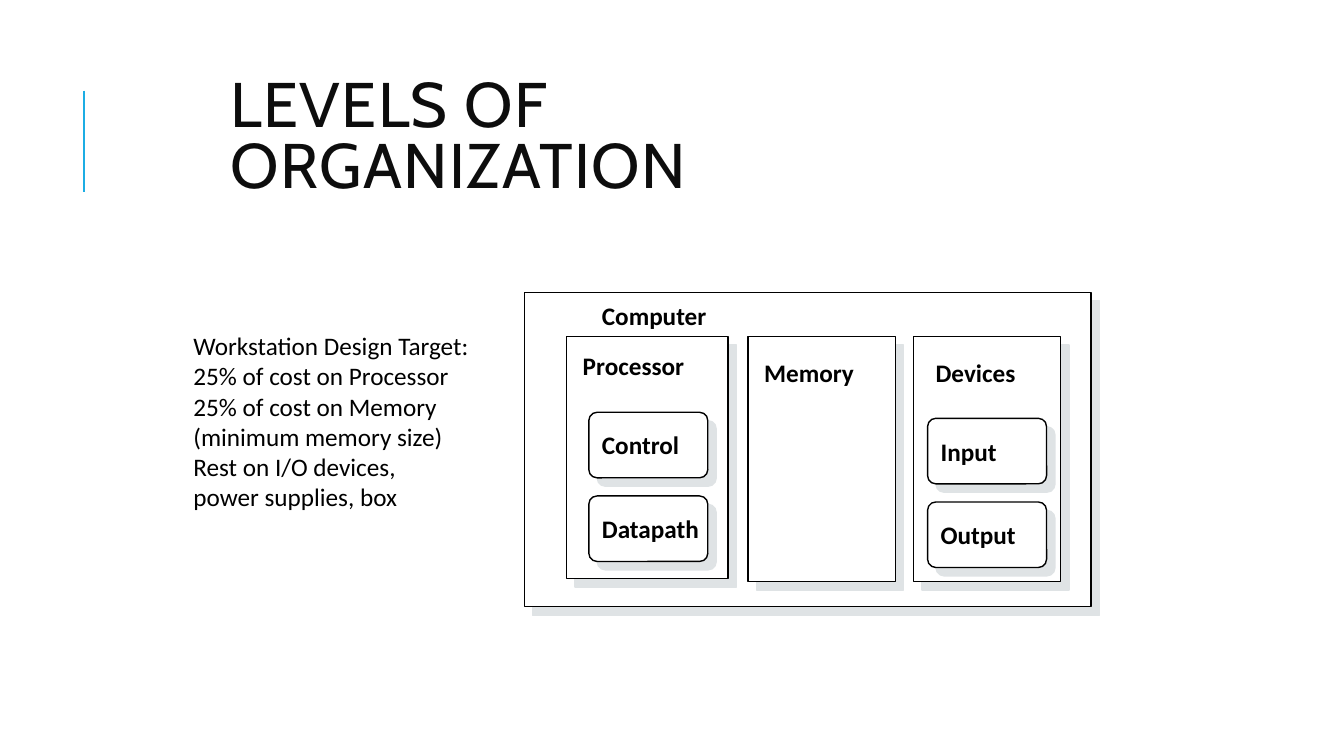
from lxml.etree import SubElement
from pptx import Presentation
from pptx.dml.color import RGBColor
from pptx.enum.shapes import MSO_CONNECTOR, MSO_SHAPE
from pptx.enum.text import MSO_ANCHOR
from pptx.oxml.ns import qn
from pptx.util import Pt

PX = 9144  # 100 px to the inch
COLORS = {"paper": "FFFFFF", "ink": "000000", "title": "0D0D0D",
          "accent": "1CADE4", "shadow": "DFE3E5"}


def color(name):
    return RGBColor.from_string(COLORS[name])


class Diagram:
    """Holds the style and the current slide."""
    title_font, body_font = "Cabin", "Calibri"
    body_size = 18

    def __init__(self, page):
        self.page = page

    def rule(self, x, top, bottom):
        line = self.page.shapes.add_connector(
            MSO_CONNECTOR.STRAIGHT, x * PX, top * PX, x * PX, bottom * PX)
        line.line.color.rgb = color("accent")
        line.line.width = Pt(1.5)
        SubElement(line._element.spPr, qn("a:effectLst"))

    def text(self, x, y, width, height, lines, inset=(10, 5), spacing=None, bold=False):
        box = self.page.shapes.add_textbox(x * PX, y * PX, width * PX, height * PX)
        frame = box.text_frame
        frame.word_wrap = True
        frame.margin_left = frame.margin_right = inset[0] * PX
        frame.margin_top = frame.margin_bottom = inset[1] * PX
        for i, line in enumerate(lines):
            para = frame.add_paragraph() if i else frame.paragraphs[0]
            para.text = line
            para.line_spacing = spacing
            para.font.name, para.font.size = self.body_font, Pt(self.body_size)
            para.font.bold = bold
            para.font.color.rgb = color("ink")
        return frame

    def title(self, x, y, width, height, words):
        frame = self.text(x, y, width, height, [words], spacing=0.8)
        frame.vertical_anchor = MSO_ANCHOR.MIDDLE
        para = frame.paragraphs[0]
        para.font.name, para.font.size = self.title_font, Pt(45)
        para.font.color.rgb = color("title")
        para.runs[0].font._element.set("spc", "100")

    def label(self, x, y, words, width=143):
        self.text(x, y, width, 31, [words], inset=(7, 3), spacing=0.85, bold=True)

    def block(self, x, y, width, height, rounded=False):
        kind = MSO_SHAPE.ROUNDED_RECTANGLE if rounded else MSO_SHAPE.RECTANGLE
        box = self.page.shapes.add_shape(kind, x * PX, y * PX, width * PX, height * PX)
        if rounded:
            box.adjustments[0] = 0.125
        box.fill.solid()
        box.fill.fore_color.rgb = color("paper")
        box.line.color.rgb = color("ink")
        box.line.width = Pt(1)
        # Hard shadow to the lower right
        box.shadow.inherit = False
        effects = box._element.spPr.find(qn("a:effectLst"))
        shadow = SubElement(effects, qn("a:outerShdw"), blurRad="0",
                            dist=str(Pt(8.5)), dir="2700000", algn="ctr", rotWithShape="0")
        SubElement(shadow, qn("a:srgbClr"), val=COLORS["shadow"])

    def units(self, x, y, names):
        for i, name in enumerate(names):
            top = y + i * 83
            self.block(x, top, 118, 65, rounded=True)
            self.label(x + 6, top + 19, name, width=124)


def main():
    deck = Presentation()
    deck.slide_width, deck.slide_height = 1333 * PX, 750 * PX
    diagram = Diagram(deck.slides.add_slide(deck.slide_layouts[6]))

    # Heading
    diagram.rule(83, 90, 190)
    diagram.title(219, 99, 525, 80, "LEVELS OF ORGANIZATION")

    # Computer frame
    diagram.block(520, 290, 562, 312)
    diagram.label(590, 300, "Computer")

    # Parts: block, label position, name, units inside
    parts = [
        ((562, 334, 160, 240), (571, 349), "Processor", (584, 409), ["Control", "Datapath"]),
        ((742, 334, 146, 243), (751, 356), "Memory", (0, 0), []),
        ((906, 334, 146, 243), (921, 356), "Devices", (920, 415), ["Input", "Output"]),
    ]
    for frame, label_at, name, units_at, units in parts:
        diagram.block(*frame)
        diagram.label(*label_at, name)
        diagram.units(*units_at, units)

    # Cost targets
    diagram.text(182, 323, 299, 192, [
        "Workstation Design Target:",
        "25% of cost on Processor",
        "25% of cost on Memory",
        "(minimum memory size)",
        "Rest on I/O devices,",
        "power supplies, box",
    ])
    deck.save("out.pptx")


if __name__ == "__main__":
    main()
